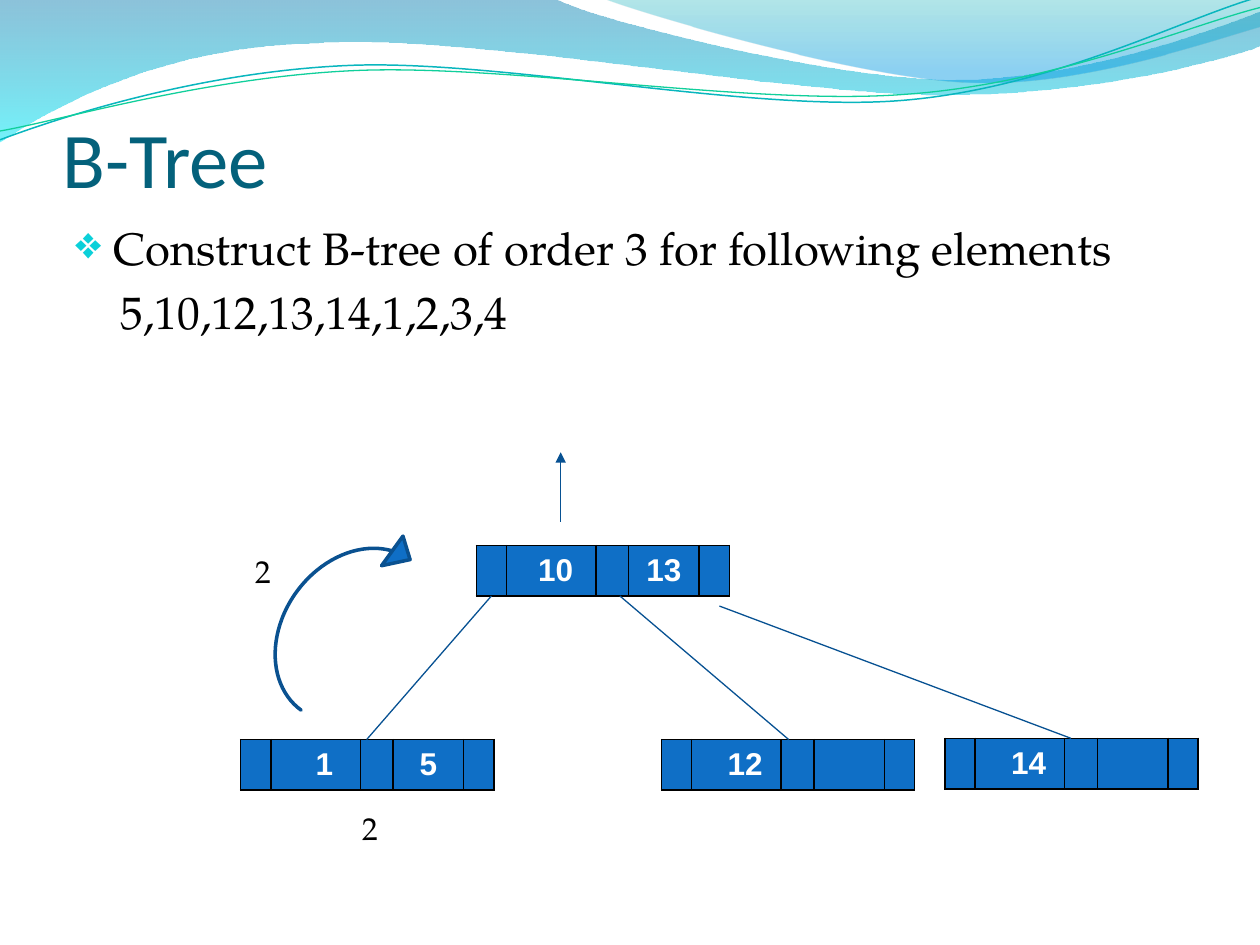
from lxml import etree
from pptx import Presentation
from pptx import util as u
from pptx.dml.color import RGBColor
from pptx.enum import shapes as sh, text as tx
from pptx.oxml import parse_xml
from pptx.oxml.ns import qn

INK = {
    "title": "04617B", "text": "000000", "bullet": "0BD0D9", "node": "0F6FC6",
    "key": "FFFFFF", "edge": "075192", "arc": "0A5190", "border": "000000",
    "teal": "09B6BE", "green": "10CF9B",
}
NS = 'xmlns:a="http://schemas.openxmlformats.org/drawingml/2006/main"'
SERIF = "TeX Gyre Pagella"
COLS = [0.24, 0.71, 0.26, 0.56, 0.24]
ROW = 0.4
SPACE = 0.07

# Each wave is a start point followed by lines (2 numbers) and curves (6).
BANDS = [
    ([(0, 0), (4.4, -0.01), (4.76, 0.17, 6.64, 0.63, 7.58, 0.63),
      (8.53, 0.63, 9.58, 0.26, 10, 0.09), (10.01, 0.36),
      (9.83, 0.44, 8.7, 0.76, 7.46, 0.75), (6.22, 0.75, 3.82, 0.28, 2.57, 0.34),
      (1.29, 0.36, 0.46, 0.83, -0.01, 1.13), (0, 0)],
     [(0, "0079AD", 45), (100, "00E9F7", 55)]),
    ([(4.79, -0.01), (5.09, 0.11, 6.82, 0.62, 7.69, 0.65),
      (8.56, 0.69, 9.61, 0.32, 10, 0.21), (10, 0), (4.79, -0.01)],
     [(0, "00ABB4", 30), (80, "0099E4", 45), (100, "0099E4", 45)]),
]
STROKES = [
    ([(0, 1.11), (0.48, 0.93, 1.58, 0.57, 2.77, 0.52),
      (3.95, 0.47, 5.93, 0.89, 7.13, 0.8), (8.33, 0.71, 9.38, 0.15, 9.98, -0.02)],
     "teal", 0.85),
    ([(0, 1.04), (0.47, 0.96, 1.64, 0.61, 2.83, 0.56),
      (4.03, 0.51, 5.97, 0.84, 7.17, 0.75), (8.36, 0.67, 9.41, 0.21, 10, 0.06)],
     "green", 0.75),
]
# left, top, the two keys, spaces that push the first key to the right
NODES = [
    (3.78, 4.33, "10", "13", 1), (1.91, 5.87, "1", "5", 2),
    (5.25, 5.87, "12", "", 2), (7.5, 5.86, "14", "", 2),
]
EDGES = [(3.9, 4.73, 2.91, 5.87), (4.92, 4.73, 6.26, 5.87), (5.71, 4.81, 8.5, 5.86)]


def rgb(name):
    return RGBColor.from_string(INK[name])


def style(obj, **vals):
    for key, val in vals.items():
        setattr(obj, key, val)


def wave(slide, parts, close):
    """Draw a freeform, joining each three points of a curve into one Bezier."""
    pts = [(u.Inches(part[i]), u.Inches(part[i + 1]))
           for part in parts for i in range(0, len(part), 2)]
    pen = slide.shapes.build_freeform(*pts[0])
    pen.add_line_segments(pts[1:], close=close)
    shape = pen.convert_to_shape()
    shape.shadow.inherit = False
    legs = iter(list(shape.element.iter(qn("a:lnTo"))))
    for part in parts[1:]:
        leg = next(legs)
        if len(part) == 6:
            leg.addprevious(curve := etree.Element(qn("a:cubicBezTo")))
            for old in (leg, next(legs), next(legs)):
                curve.append(old[0])
                old.getparent().remove(old)
    return shape


def band(slide, parts, stops):
    shape = wave(slide, parts, True)
    shape.line.fill.background()
    marks = "".join(
        f'<a:gs pos="{pos * 1000}"><a:srgbClr val="{hue}">'
        f'<a:alpha val="{alpha * 1000}"/></a:srgbClr></a:gs>'
        for pos, hue, alpha in stops)
    grad = parse_xml(f'<a:gradFill {NS} rotWithShape="1"><a:gsLst>{marks}</a:gsLst>'
                     '<a:lin ang="5400000" scaled="0"/></a:gradFill>')
    shape.element.spPr.find(qn("a:custGeom")).addnext(grad)


def stroke(slide, parts, hue, width):
    shape = wave(slide, parts, False)
    shape.fill.background()
    shape.line.color.rgb = rgb(hue)
    shape.line.width = u.Pt(width)


def label(slide, box, lines, size, face, hue="text", **frame):
    area = slide.shapes.add_textbox(*map(u.Inches, box)).text_frame
    style(area, word_wrap=True, **frame)
    for i, line in enumerate(lines):
        para = area.paragraphs[0] if i == 0 else area.add_paragraph()
        run = para.add_run()
        run.text = line
        style(run.font, size=u.Pt(size), name=face)
        run.font.color.rgb = rgb(hue)
    return area


def bullet(para, mark):
    prop = para._p.get_or_add_pPr()
    for key, val in {"marL": 0.3, "indent": -0.3}.items():
        prop.set(key, str(u.Inches(val)))
    tint = etree.SubElement(prop, qn("a:buClr"))
    etree.SubElement(tint, qn("a:srgbClr")).set("val", INK["bullet"])
    etree.SubElement(prop, qn("a:buFont")).set("typeface", "OpenSymbol")
    etree.SubElement(prop, qn("a:buChar")).set("char", mark)


def border(cell):
    prop = cell._tc.get_or_add_tcPr()
    for i, side in enumerate(("lnL", "lnR", "lnT", "lnB")):
        prop.insert(i, parse_xml(
            f'<a:{side} {NS} w="12700"><a:solidFill><a:srgbClr val="{INK["border"]}"/>'
            f'</a:solidFill></a:{side}>'))


def node(slide, left, top, first, second, shift):
    box = map(u.Inches, (left, top, sum(COLS), ROW))
    table = slide.shapes.add_table(1, len(COLS), *box).table
    style(table, first_row=False, horz_banding=False)
    for i, (wide, key) in enumerate(zip(COLS, ("", first, "", second, ""))):
        table.columns[i].width = u.Inches(wide)
        cell = table.cell(0, i)
        cell.fill.solid()
        cell.fill.fore_color.rgb = rgb("node")
        border(cell)
        if not key:
            continue
        cell.vertical_anchor = tx.MSO_ANCHOR.MIDDLE
        if i == 1:
            cell.margin_left = u.Inches(0.1 + SPACE * shift)
        para = cell.text_frame.paragraphs[0]
        para.alignment = tx.PP_ALIGN.CENTER
        run = para.add_run()
        run.text = key
        style(run.font, size=u.Pt(18), name="Arial", bold=True)
        run.font.color.rgb = rgb("key")


def edge(slide, ends, head=False):
    line = slide.shapes.add_connector(sh.MSO_CONNECTOR.STRAIGHT, *map(u.Inches, ends))
    line.line.color.rgb = rgb("edge")
    line.line.width = u.Pt(0.75)
    if head:
        etree.SubElement(line.line._get_or_add_ln(), qn("a:tailEnd")).set("type", "triangle")
    etree.SubElement(line._element.spPr, qn("a:effectLst"))


def arc(slide):
    box = map(u.Inches, (2.34, 4, 0.58, 1.62))
    shape = slide.shapes.add_shape(sh.MSO_SHAPE.CURVED_LEFT_ARROW, *box)
    shape.rotation = 215.9
    for i, val in enumerate((0, 0.5, 0.268)):
        shape.adjustments[i] = val
    shape.shadow.inherit = False
    shape.fill.solid()
    shape.fill.fore_color.rgb = rgb("node")
    shape.line.color.rgb = rgb("arc")
    shape.line.width = u.Pt(2)


def main():
    deck = Presentation()
    style(deck, slide_width=u.Inches(10), slide_height=u.Inches(7.5))
    slide = deck.slides.add_slide(deck.slide_layouts[6])
    for item in BANDS:
        band(slide, *item)
    for item in STROKES:
        stroke(slide, *item)
    label(slide, (0.5, 0.77, 9, 0.85), ["B-Tree"], 45, "Calibri", "title",
          vertical_anchor=tx.MSO_ANCHOR.BOTTOM, margin_left=0, margin_right=0,
          margin_bottom=0)
    body = label(slide, (0.5, 1.7, 9, 5.21),
                 ["Construct B-tree of order 3 for following elements",
                  "5,10,12,13,14,1,2,3,4"], 26, SERIF)
    task, keys = body.paragraphs
    bullet(task, "❖")
    keys.space_before = u.Pt(5.2)
    keys._p.get_or_add_pPr().set("marL", str(u.Inches(0.36)))
    for item in NODES:
        node(slide, *item)
    for ends in EDGES:
        edge(slide, ends)
    arc(slide)
    edge(slide, (4.45, 4.14, 4.45, 3.59), head=True)
    for left, top in ((2.78, 6.37), (1.93, 4.33)):
        label(slide, (left, top, 0.47, 0.4), ["2"], 18, SERIF)
    deck.save("out.pptx")


if __name__ == "__main__":
    main()
